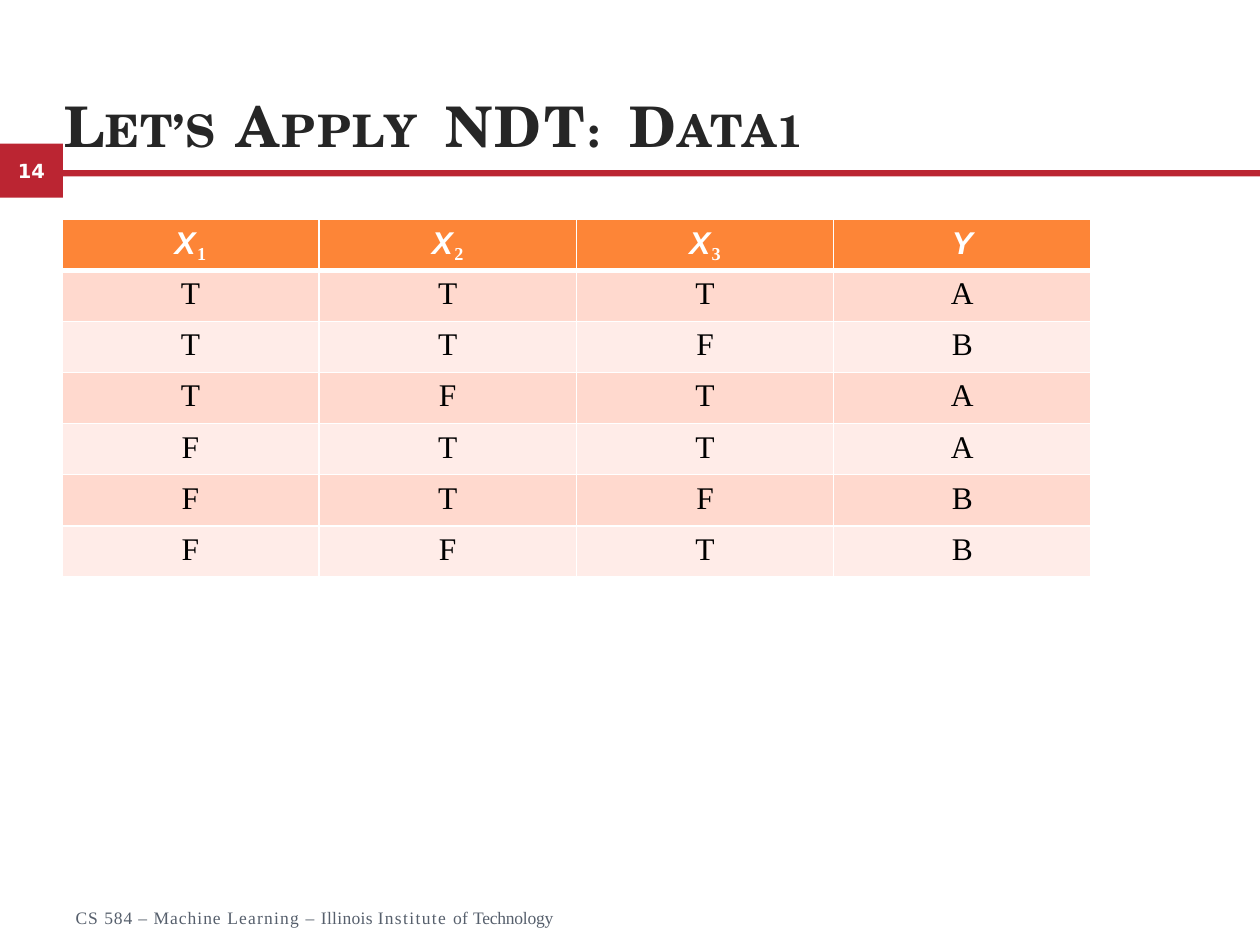
from lxml import etree
from pptx import Presentation
from pptx.dml.color import RGBColor
from pptx.enum.shapes import MSO_SHAPE
from pptx.enum.text import MSO_ANCHOR, PP_ALIGN
from pptx.oxml.ns import qn
from pptx.util import Inches, Pt

RECT = MSO_SHAPE.RECTANGLE
CENTER, LEFT = PP_ALIGN.CENTER, PP_ALIGN.LEFT
MIDDLE, BOTTOM, TOP = MSO_ANCHOR.MIDDLE, MSO_ANCHOR.BOTTOM, MSO_ANCHOR.TOP

RED = RGBColor(0xBB, 0x25, 0x32)
WHITE = RGBColor(0xFF, 0xFF, 0xFF)
BLACK = RGBColor(0, 0, 0)
INK = RGBColor(0x26, 0x26, 0x26)
SLATE = RGBColor(0x56, 0x5F, 0x6C)
ORANGE = RGBColor(0xFD, 0x85, 0x37)
BANDS = RGBColor(0xFF, 0xD9, 0xCE), RGBColor(0xFF, 0xEC, 0xE8)
SERIF = "Times New Roman"

TITLE = [("Let’s ", 0.6), ("Apply ", 1.1), ("NDT: ", 1.4), ("Data1", 0.5)]
FOOTER = [("CS ", 0.6), ("584 ", 0.5), ("– Machine ", 0.6), ("Learning ", 0.7),
          ("– ", 0.6), ("Illinois ", 0.2), ("Institute ", 0.8), ("of ", 0.2),
          ("Technology", -0.1)]
PAGE = "14"
HEADER = [("X", "1"), ("X", "2"), ("X", "3"), ("Y", "")]
DATA = ["TTTA", "TTFB", "TFTA", "FTTA", "FTFB", "FFTB"]

WIDTH, HEIGHT = 10, 7.5
MARGIN = WIDTH / 20
TABLE_BOX = (0.49, 1.74, 8.17, 2.84)


def add_run(p, text, size, font, color, bold=False, italic=False, **attrs):
    r = p.add_run()
    r.text = text
    r.font.size = Pt(size)
    r.font.name = font
    r.font.color.rgb = color
    r.font.bold = bold
    r.font.italic = italic
    for name, value in attrs.items():
        r.font._element.set(name, str(value))


def set_frame(tf, anchor, align, before=0):
    tf.word_wrap = True
    tf.vertical_anchor = anchor
    tf.margin_left = tf.margin_top = tf.margin_right = tf.margin_bottom = 0
    p = tf.paragraphs[0]
    p.alignment = align
    p.space_before = Pt(before)
    return p


def add_bar(s, *box):
    bar = s.shapes.add_shape(RECT, *map(Inches, box))
    bar.shadow.inherit = False
    bar.fill.solid()
    bar.fill.fore_color.rgb = RED
    bar.line.fill.background()
    return bar


def add_spaced_text(s, box, anchor, before, runs, *style, **attrs):
    tf = s.shapes.add_textbox(*map(Inches, box)).text_frame
    p = set_frame(tf, anchor, LEFT, before)
    p._p.get_or_add_pPr().set("marL", str(Inches(0.01)))
    for text, spacing in runs:
        add_run(p, text, *style, spc=round(spacing * 100), **attrs)


def add_borders(cell, **widths):
    for side, width in widths.items():
        ln = etree.SubElement(cell._tc.get_or_add_tcPr(), qn(f"a:ln{side}"), w=str(Pt(width)))
        fill = etree.SubElement(ln, qn("a:solidFill"))
        etree.SubElement(fill, qn("a:srgbClr"), val=str(WHITE))


def style_cell(cell, color, top, bottom):
    add_borders(cell, L=1, R=1, T=top, B=bottom)
    cell.fill.solid()
    cell.fill.fore_color.rgb = color
    cell.margin_left = cell.margin_right = cell.margin_bottom = 0
    cell.margin_top = Inches(0.05)
    p = cell.text_frame.paragraphs[0]
    p.alignment = CENTER
    p.space_before = Pt(3.4)
    return p


def add_data_table(s):
    rows, cols = len(DATA) + 1, len(HEADER)
    table = s.shapes.add_table(rows, cols, *map(Inches, TABLE_BOX)).table
    for column in table.columns:
        column.width = Inches(TABLE_BOX[2] / cols)
    for row in table.rows:
        row.height = Inches(TABLE_BOX[3] / rows)
    for c, (name, index) in enumerate(HEADER):
        p = style_cell(table.cell(0, c), ORANGE, 1, 3)
        add_run(p, name, 18, "Arial", WHITE, True, True, spc=80 if index else 0)
        if index:
            add_run(p, index, 18, SERIF, WHITE, True, spc=120, baseline=-21000)
    for r, values in enumerate(DATA, 1):
        for c, value in enumerate(values):
            p = style_cell(table.cell(r, c), BANDS[(r - 1) % 2], 3 if r == 1 else 1, 1)
            add_run(p, value, 18, SERIF, BLACK)


def main():
    prs = Presentation()
    prs.slide_width, prs.slide_height = Inches(WIDTH), Inches(HEIGHT)
    s = prs.slides.add_slide(prs.slide_layouts[6])
    badge = add_bar(s, 0, 1.14, MARGIN, 0.43)
    p = set_frame(badge.text_frame, MIDDLE, CENTER)
    add_run(p, PAGE, 11.1, "DejaVu Sans", WHITE, True)
    add_bar(s, MARGIN, 1.35, WIDTH - MARGIN, 0.05)
    add_spaced_text(s, (MARGIN, 0.38, WIDTH - 2 * MARGIN, 0.88), BOTTOM, 1,
                    TITLE, 32, "TeX Gyre Schola", INK, True, cap="small")
    add_spaced_text(s, (0.59, 7.2, 3.94, 0.2), TOP, 0.8, FOOTER, 10, SERIF, SLATE)
    add_data_table(s)
    prs.save("out.pptx")


if __name__ == "__main__":
    main()
